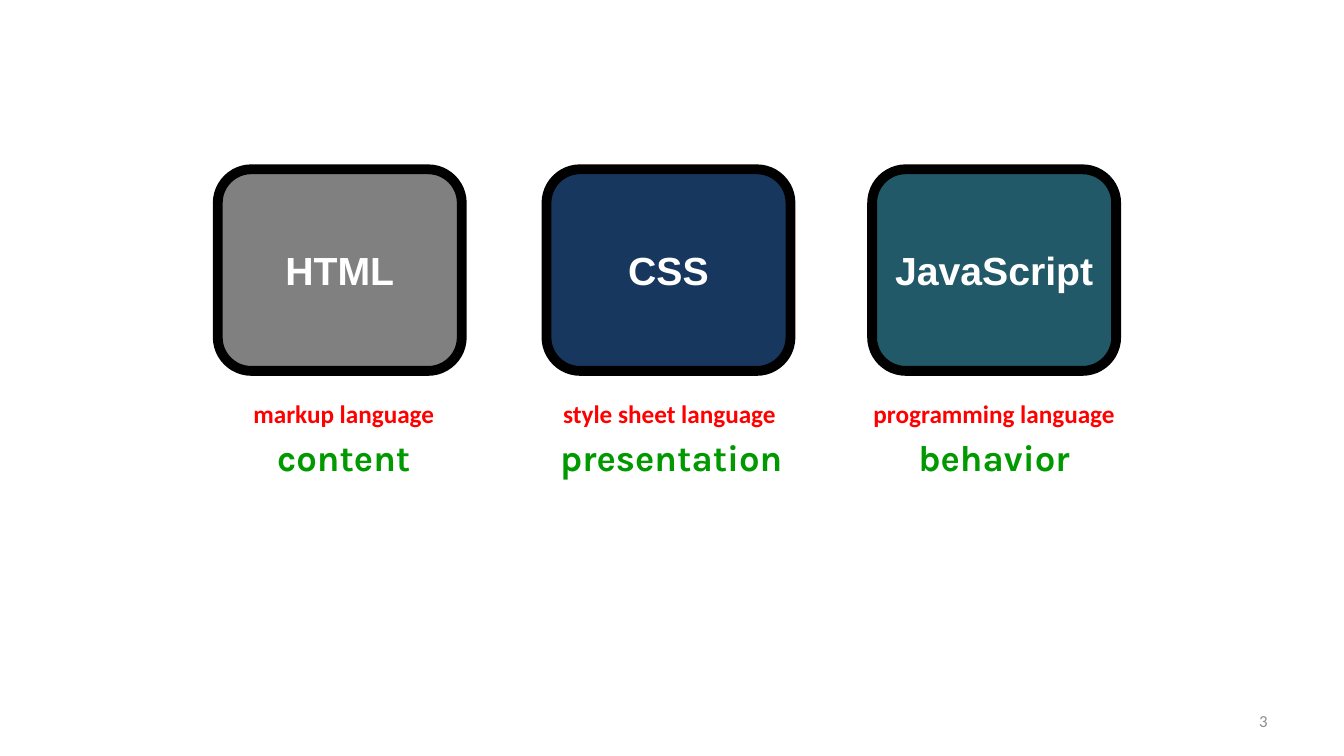
"""Build a slide on the three web languages and the role of each."""
from pptx import Presentation
from pptx.dml.color import RGBColor
from pptx.enum.shapes import MSO_SHAPE
from pptx.enum.text import MSO_ANCHOR, PP_ALIGN
from pptx.util import Inches, Pt

COLORS = {
    "gray": "808080", "navy": "17375E", "teal": "215968",
    "border": "000000", "name": "FFFFFF", "kind": "FF0000",
    "role": "009900", "number": "8C8C8C",
}


def color(name):
    return RGBColor.from_string(COLORS[name])


def write(shape, text, size, font, ink, bold=True,
          align=PP_ALIGN.CENTER, anchor=MSO_ANCHOR.MIDDLE):
    frame = shape.text_frame
    frame.word_wrap = True
    frame.vertical_anchor = anchor
    para = frame.paragraphs[0]
    para.text = text
    para.alignment = align
    para.font.size = Pt(size)
    para.font.name = font
    para.font.bold = bold
    para.font.color.rgb = color(ink)


deck = Presentation()
deck.slide_width = Inches(13.33)
deck.slide_height = Inches(7.5)
page = deck.slides.add_slide(deck.slide_layouts[6])

languages = [
    ("HTML", "gray", 3.37, "markup language", 3.41, "content", 3.41),
    ("CSS", "navy", 6.63, "style sheet language", 6.64, "presentation", 6.66),
    ("JavaScript", "teal", 9.86, "programming language", 9.86, "behavior", 9.86),
]
card_width, label_width = 2.42, 2.75

for name, fill, card_center, kind, kind_center, role, role_center in languages:
    card = page.shapes.add_shape(
        MSO_SHAPE.ROUNDED_RECTANGLE, Inches(card_center - card_width / 2),
        Inches(1.68), Inches(card_width), Inches(2))
    card.shadow.inherit = False
    card.fill.solid()
    card.fill.fore_color.rgb = color(fill)
    card.line.color.rgb = color("border")
    card.line.width = Pt(7)
    write(card, name, 28, "Arial", "name")

    kind_box = page.shapes.add_textbox(
        Inches(kind_center - label_width / 2), Inches(3.9),
        Inches(label_width), Inches(0.33))
    write(kind_box, kind, 18, "Calibri", "kind", anchor=MSO_ANCHOR.TOP)

    role_box = page.shapes.add_textbox(
        Inches(role_center - label_width / 2), Inches(4.28),
        Inches(label_width), Inches(0.5))
    write(role_box, role, 26, "Karla", "role")

number_box = page.shapes.add_textbox(
    Inches(9.56), Inches(6.95), Inches(3.11), Inches(0.4))
write(number_box, "3", 12, "Calibri", "number", bold=False, align=PP_ALIGN.RIGHT)

deck.save("out.pptx")
